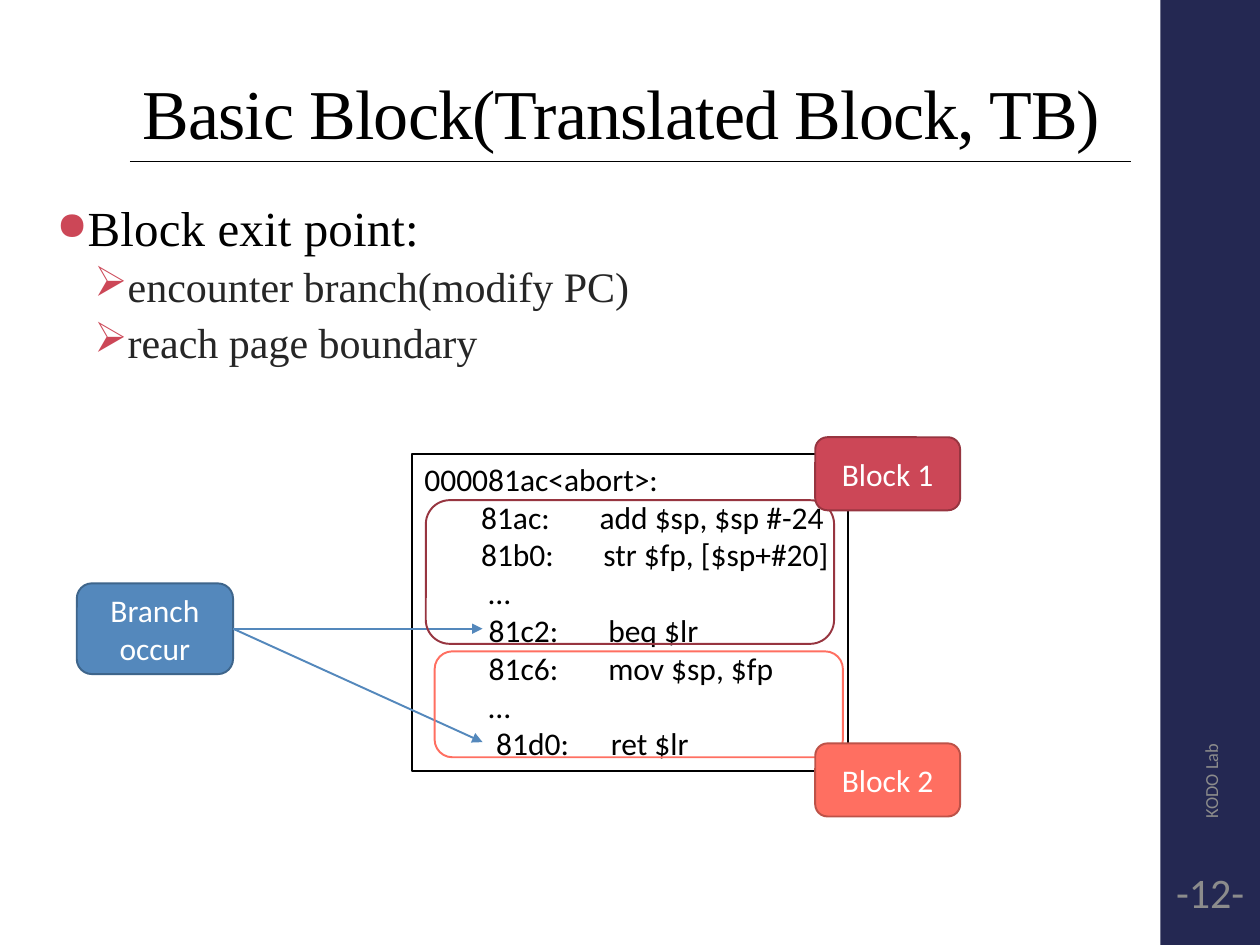
from collections import namedtuple
from dataclasses import dataclass

from lxml import etree
from pptx import Presentation
from pptx.dml.color import RGBColor
from pptx.enum.shapes import MSO_CONNECTOR, MSO_SHAPE
from pptx.enum.text import MSO_ANCHOR, MSO_AUTO_SIZE, PP_ALIGN
from pptx.oxml.ns import qn
from pptx.util import Inches, Pt

RECT, ROUND = MSO_SHAPE.RECTANGLE, MSO_SHAPE.ROUNDED_RECTANGLE
STRAIGHT = MSO_CONNECTOR.STRAIGHT
TOP, MIDDLE, BOTTOM = MSO_ANCHOR.TOP, MSO_ANCHOR.MIDDLE, MSO_ANCHOR.BOTTOM
LEFT, CENTER = PP_ALIGN.LEFT, PP_ALIGN.CENTER
RIGHT_SIDE = 3
TITLE_ONLY = 5
COLUMNS, ROWS = 100, 75  # slide grid; each cell is 0.1 inch


@dataclass(frozen=True)
class Theme:
    serif: str = "Times New Roman"
    sans: str = "Calibri"
    ink: str = "000000"
    soft_ink: str = "262626"
    paper: str = "FFFFFF"
    navy: str = "242852"
    grey: str = "8C8C8C"
    red: str = "CC4757"
    dark_red: str = "973540"
    coral: str = "FF6F61"
    dark_coral: str = "BD5248"
    blue: str = "5488BC"
    dark_blue: str = "3E658B"
    title: float = 40
    heading: float = 28
    point: float = 24
    label: float = 18
    credit: float = 10.5
    hairline: float = 0.75
    outline: float = 1.1


THEME = Theme()
Box = namedtuple("Box", "left top width height")  # grid columns and rows


def inside(box, left, top, width, height):
    return Box(box.left + left, box.top + top, width, height)


def cells(*values):
    return [Inches(value / 10) for value in values]


def set_format(target, values):
    for name, value in values.items():
        setattr(target, name, value)


def add_span(para, text, size, color, face=THEME.sans, spacing=0):
    span = para.add_run()
    span.text = text
    set_format(span.font, {"size": Pt(size), "name": face, "bold": False})
    span.font.color.rgb = RGBColor.from_string(color)
    if spacing:
        span._r.get_or_add_rPr().set("spc", str(round(spacing * 100)))


def set_frame(frame, anchor=MIDDLE, **extra):
    set_format(frame, {"word_wrap": True, "auto_size": MSO_AUTO_SIZE.NONE,
                       "vertical_anchor": anchor, **extra})
    return frame


def add_text(page, box, anchor=MIDDLE, **extra):
    area = page.shapes.add_textbox(*cells(*box))
    return area, set_frame(area.text_frame, anchor, **extra)


def add_block(page, box, kind=ROUND, fill=None, line=None, text=None):
    block = page.shapes.add_shape(kind, *cells(*box))
    block.shadow.inherit = False
    if fill:
        block.fill.solid()
        block.fill.fore_color.rgb = RGBColor.from_string(fill)
    else:
        block.fill.background()
    if line:
        block.line.color.rgb = RGBColor.from_string(line)
        block.line.width = Pt(THEME.outline)
    else:
        block.line.fill.background()
    if text:
        para = set_frame(block.text_frame).paragraphs[0]
        para.alignment = CENTER
        for index, words in enumerate(text.split("\n")):
            if index:
                para.add_line_break()
            add_span(para, words, THEME.label, THEME.paper)
    return block


def add_line(page, start, end, color, width, arrow=False):
    line = page.shapes.add_connector(STRAIGHT, *cells(*start, *end))
    line.line.color.rgb = RGBColor.from_string(color)
    line.line.width = Pt(width)
    if arrow:
        etree.SubElement(line.line._get_or_add_ln(), qn("a:tailEnd"), type="triangle")
    etree.SubElement(line._element.spPr, qn("a:effectLst"))
    return line


def set_bullet(para, mark, color, margin, hanging, share=100):
    props = para._p.get_or_add_pPr()
    props.set("marL", str(Inches(margin)))
    props.set("indent", str(-Inches(hanging)))
    tint = etree.SubElement(props, qn("a:buClr"))
    etree.SubElement(tint, qn("a:srgbClr"), val=color)
    etree.SubElement(props, qn("a:buSzPct"), val=str(share * 1000))
    etree.SubElement(props, qn("a:buChar"), char=mark)


def set_tabs(para, stops):
    tabs = etree.SubElement(para._p.get_or_add_pPr(), qn("a:tabLst"))
    for stop in stops:
        etree.SubElement(tabs, qn("a:tab"), pos=str(Inches(stop)), algn="l")


def build_sidebar(page, box):
    add_block(page, box, RECT, THEME.navy)
    # Lab name, turned to read upwards
    area, frame = add_text(page, inside(box, -15.6, 44.8, 39.2, 3))
    area.rotation = 270
    add_span(frame.paragraphs[0], "KODO Lab", THEME.credit, THEME.grey)
    # Page number
    narrow = {"margin_left": Inches(0.03), "margin_right": Inches(0.03)}
    _, frame = add_text(page, inside(box, 0.2, 67.5, 7.5, 6.5), **narrow)
    frame.paragraphs[0].alignment = CENTER
    add_span(frame.paragraphs[0], "-12-", THEME.point, THEME.grey)


def build_title(page, box):
    title = page.shapes.title
    set_format(title, dict(zip(box._fields, cells(*box))))
    para = set_frame(title.text_frame, BOTTOM).paragraphs[0]
    set_format(para, {"alignment": LEFT, "line_spacing": 0.9})
    add_span(para, "Basic Block(Translated Block, TB)", THEME.title, THEME.ink,
             THEME.serif, -0.5)
    # Rule under the title
    base = box.top + box.height
    add_line(page, (box.left, base), (box.left + box.width, base),
             THEME.ink, THEME.hairline)


def build_points(page, box):
    _, frame = add_text(page, box, TOP)
    heading = frame.paragraphs[0]
    set_format(heading, {"line_spacing": 0.95, "space_before": Pt(14),
                         "space_after": Pt(2)})
    set_bullet(heading, "●", THEME.red, 0.2, 0.2, 80)
    add_span(heading, "Block exit point:", THEME.heading, THEME.ink, THEME.serif, 0.1)
    for text in ("encounter branch(modify PC)", "reach page boundary"):
        para = frame.add_paragraph()
        set_format(para, {"level": 1, "line_spacing": 0.9, "space_before": Pt(3),
                          "space_after": Pt(3)})
        set_bullet(para, "➢", THEME.red, 0.5, 0.2)
        add_span(para, text, THEME.point, THEME.soft_ink, THEME.serif)


def build_listing(page, box):
    panel = add_block(page, box, RECT, THEME.paper, THEME.ink)
    frame = set_frame(panel.text_frame, TOP)
    # Each line: text, then tab stops for address and instruction
    lines = (("000081ac<abort>:", ()),
             ("\t81ac:\tadd $sp, $sp #-24", (0.45, 1.39)),
             ("\t81b0:\tstr $fp, [$sp+#20]", (0.45, 1.42)),
             ("\t…", (0.51,)),
             ("\t81c2:\tbeq $lr", (0.51, 1.46)),
             ("\t81c6:\tmov $sp, $fp", (0.51, 1.46)),
             ("\t…", (0.51,)),
             ("\t81d0:\tret $lr", (0.57, 1.48)))
    for index, (text, stops) in enumerate(lines):
        para = frame.add_paragraph() if index else frame.paragraphs[0]
        para.alignment = LEFT
        if stops:
            set_tabs(para, stops)
        add_span(para, text, THEME.label, THEME.ink)


def build_diagram(page, box):
    build_listing(page, inside(box, 26.6, 1.3, 34.6, 25.2))
    # Branch label, with arrows to the two exit instructions
    branch = add_block(page, inside(box, 0, 11.6, 12.4, 7.2), ROUND, THEME.blue,
                       THEME.dark_blue, "Branch\noccur")
    start = (box.left + 12.4, box.top + 15.2)
    for row in (15.2, 24.2):
        arrow = add_line(page, start, (box.left + 32.2, box.top + row),
                         THEME.blue, THEME.outline, arrow=True)
        arrow.begin_connect(branch, RIGHT_SIDE)
    # Frames around the blocks
    add_block(page, inside(box, 27.7, 5, 32.4, 11.4), line=THEME.dark_red)
    add_block(page, inside(box, 28.4, 17, 32.4, 8.4), line=THEME.coral)
    # Block labels
    labels = (("Block 1", 0, THEME.red, THEME.dark_red),
              ("Block 2", 24.3, THEME.coral, THEME.dark_coral))
    for text, row, fill, line in labels:
        add_block(page, inside(box, 58.6, row, 11.5, 5.8), ROUND, fill, line, text)


def main():
    deck = Presentation()
    deck.slide_width, deck.slide_height = cells(COLUMNS, ROWS)
    page = deck.slides.add_slide(deck.slide_layouts[TITLE_ONLY])
    build_sidebar(page, Box(92.1, 0, 8, ROWS))
    build_title(page, Box(10.3, 4, 79.5, 8.8))
    build_points(page, Box(3.5, 15.5, 92.9, 16.4))
    build_diagram(page, Box(6.1, 34.7, 70.1, 30.1))
    deck.save("out.pptx")


if __name__ == "__main__":
    main()
